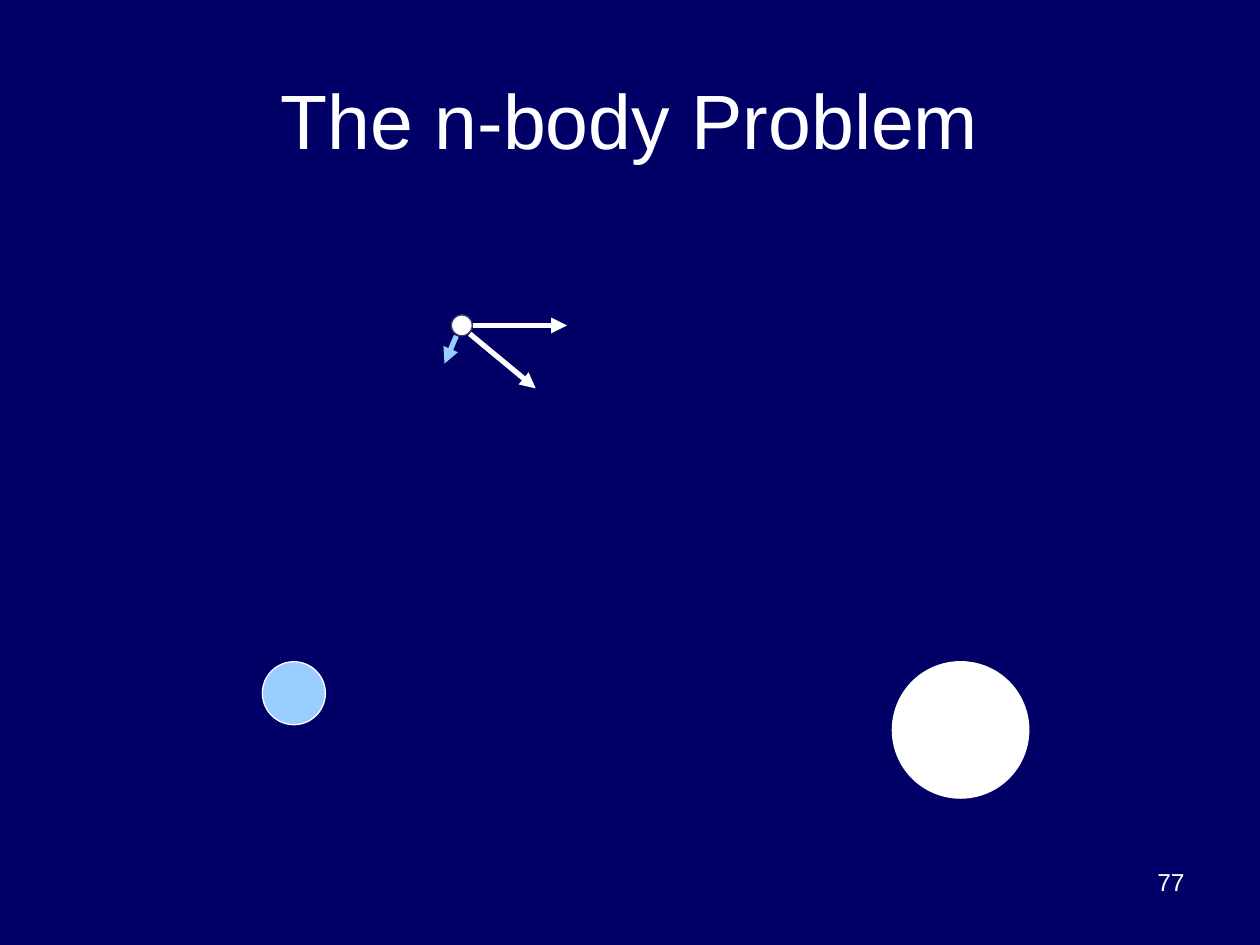
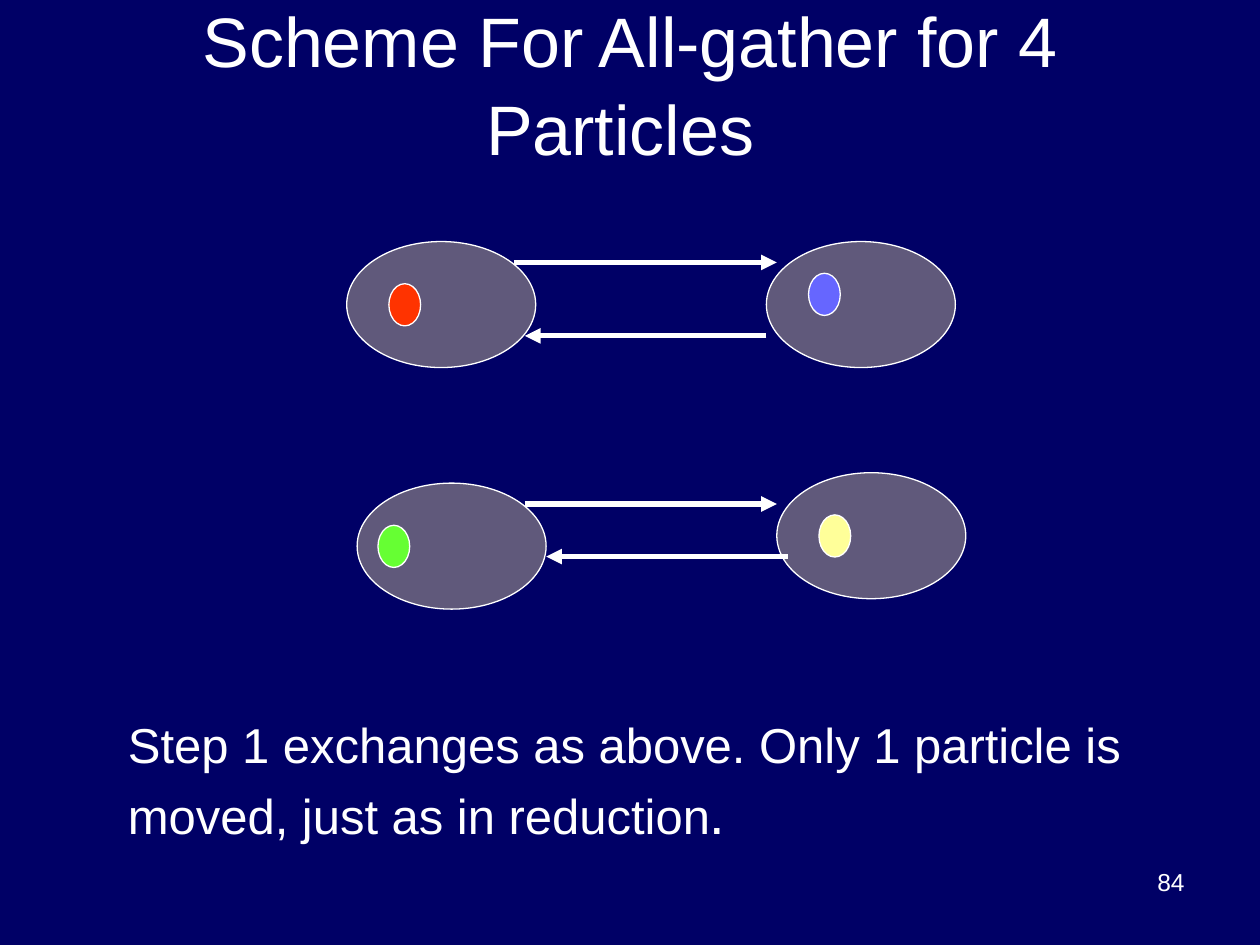
from lxml import etree
from pptx import Presentation
from pptx.dml.color import RGBColor
from pptx.enum.shapes import MSO_CONNECTOR, MSO_SHAPE
from pptx.enum.text import MSO_ANCHOR, PP_ALIGN
from pptx.oxml.ns import qn
from pptx.util import Cm, Pt

# Shared look
FONT = "Arial"
NAVY = "000066"
WHITE = "FFFFFF"
LIGHT_BLUE = "99CCFF"
PROCESS_GREY = "60597B"


def color(hex_string):
    return RGBColor.from_string(hex_string)


def add_text(slide, runs, left, top, width, height, align=PP_ALIGN.LEFT,
             anchor=MSO_ANCHOR.TOP, line_spacing=None):
    """Add a one-paragraph text box; runs is a list of (text, size)."""
    box = slide.shapes.add_textbox(Cm(left), Cm(top), Cm(width), Cm(height))
    frame = box.text_frame
    frame.word_wrap = True
    frame.vertical_anchor = anchor
    paragraph = frame.paragraphs[0]
    paragraph.alignment = align
    paragraph.line_spacing = line_spacing
    for text, size in runs:
        run = paragraph.add_run()
        run.text = text
        run.font.name = FONT
        run.font.size = Pt(size)
        run.font.color.rgb = color(WHITE)


def add_slide(presentation, title, number, title_size, title_height):
    """Add a slide with the background, title and page number."""
    slide = presentation.slides.add_slide(presentation.slide_layouts[6])
    fill = slide.background.fill
    fill.solid()
    fill.fore_color.rgb = color(NAVY)
    add_text(slide, [(title, title_size)], 1.27, 0.76, 22.86, title_height,
             align=PP_ALIGN.CENTER, anchor=MSO_ANCHOR.MIDDLE, line_spacing=1.04)
    add_text(slide, [(str(number), 14)], 18.2, 17.36, 5.93, 1.32,
             align=PP_ALIGN.RIGHT)
    return slide


def add_ellipse(slide, left, top, width, height, fill, outline=WHITE):
    shape = slide.shapes.add_shape(
        MSO_SHAPE.OVAL, Cm(left), Cm(top), Cm(width), Cm(height))
    shape.shadow.inherit = False
    shape.fill.solid()
    shape.fill.fore_color.rgb = color(fill)
    shape.line.color.rgb = color(outline)
    shape.line.width = Pt(0.75)


def add_arrow(slide, start, end, stroke=WHITE):
    connector = slide.shapes.add_connector(
        MSO_CONNECTOR.STRAIGHT, *[Cm(value) for value in (*start, *end)])
    connector.line.color.rgb = color(stroke)
    connector.line.width = Pt(3)
    line = connector.line._get_or_add_ln()
    etree.SubElement(line, qn("a:tailEnd"), type="triangle")
    etree.SubElement(connector._element.spPr, qn("a:effectLst"))


def build_n_body(presentation):
    slide = add_slide(presentation, "The n-body Problem", 77, 44, 3.18)

    # Bodies: left, top, diameter
    add_ellipse(slide, 5.29, 13.34, 1.27, 1.27, LIGHT_BLUE)
    add_ellipse(slide, 17.99, 13.34, 2.75, 2.75, WHITE)
    add_ellipse(slide, 9.1, 6.35, 0.42, 0.42, WHITE, outline="3E3E5C")

    # Velocity and the pull of each larger body
    add_arrow(slide, (9.53, 6.56), (11.43, 6.56))
    add_arrow(slide, (9.47, 6.73), (10.8, 7.83))
    add_arrow(slide, (9.2, 6.77), (8.96, 7.33), stroke=LIGHT_BLUE)


def build_all_gather(presentation):
    slide = add_slide(
        presentation, "Scheme For All-gather for 4 Particles ", 84, 40, 1.78)

    # Processes: left, top, then the particle's offset and colour
    processes = [
        (6.99, 4.87, 0.85, 0.85, "FF3300"),
        (15.45, 4.87, 0.85, 0.64, "6666FF"),
        (15.66, 9.53, 0.85, 0.85, "FFFF99"),
        (7.2, 9.74, 0.42, 0.85, "66FF33"),
    ]
    for left, top, offset_x, offset_y, particle in processes:
        add_ellipse(slide, left, top, 3.81, 2.54, PROCESS_GREY)
        add_ellipse(slide, left + offset_x, top + offset_y, 0.64, 0.85, particle)

    # Exchanges: height, start and end
    exchanges = [(5.29, 10.37, 15.66), (6.77, 15.45, 10.58),
                 (10.16, 10.58, 15.66), (11.22, 15.88, 11.01)]
    for height, start, end in exchanges:
        add_arrow(slide, (start, height), (end, height))

    # Explanation
    step = ("Step 1 exchanges as above. Only 1 particle is moved, "
            "just as in reduction")
    add_text(slide, [(step, 28), (".", 32)], 2.33, 14.18, 21.17, 2.79,
             line_spacing=1.08)


def main():
    presentation = Presentation()
    presentation.slide_width = Cm(25.4)
    presentation.slide_height = Cm(19.05)
    build_n_body(presentation)
    build_all_gather(presentation)
    presentation.save("out.pptx")


if __name__ == "__main__":
    main()
